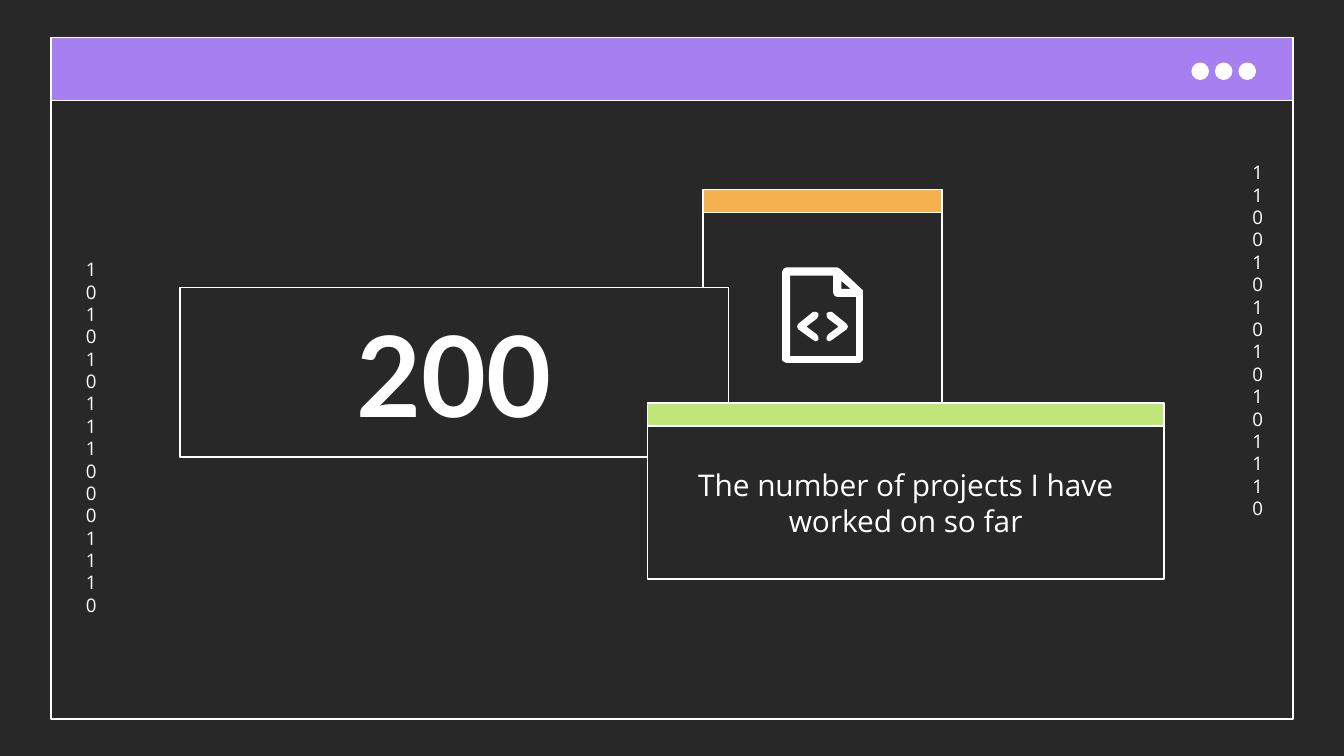
import dataclasses

import pptx
import pptx.dml.color
import pptx.enum.shapes
import pptx.enum.text
import pptx.util

Inches = pptx.util.Inches
Pt = pptx.util.Pt
Shape = pptx.enum.shapes.MSO_SHAPE


@dataclasses.dataclass(frozen=True)
class Theme:
    dark: str = "292828"
    white: str = "FFFFFF"
    purple: str = "A67FF1"
    orange: str = "F5B150"
    green: str = "C0E67A"
    heading_font: str = "Lato"
    body_font: str = "Open Sans"
    number_size: float = 60
    body_size: float = 16
    digit_size: float = 10
    line_width: float = 0.75
    line_factor: float = 1.2


THEME = Theme()
BAR_HEIGHT = 0.17

# Icon outlines in hundredths of an inch from the icon's top left corner
ICON_WIDTH = 60
SHEET = [(43, 1), (41, 0), (3, 0), (1, 1), (0, 3), (0, 69), (1, 70), (3, 71),
         (58, 71), (59, 70), (60, 69), (60, 19), (60, 17)]
SHEET_INSIDE = [(6, 66), (6, 6), (38, 6), (38, 19), (39, 21), (41, 22), (55, 22), (55, 66)]
FOLD = [(44, 10), (51, 16), (44, 16)]
RIGHT_CHEVRON = [(48, 46), (37, 54), (35, 55), (33, 54), (33, 52), (34, 50), (42, 44),
                 (34, 38), (33, 36), (33, 34), (35, 33), (37, 33), (48, 42), (49, 44)]
LEFT_CHEVRON = [(ICON_WIDTH - x, y) for x, y in RIGHT_CHEVRON]


def color(code):
    return pptx.dml.color.RGBColor.from_string(code)


def paint(shape, fill=None):
    """Give a shape its fill, or none, and the thin white outline."""
    if fill:
        shape.fill.solid()
        shape.fill.fore_color.rgb = color(fill)
    else:
        shape.fill.background()
    shape.line.color.rgb = color(THEME.white)
    shape.line.width = Pt(THEME.line_width)


def add_block(page, left, top, width, height, fill=None, kind=Shape.RECTANGLE):
    block = page.shapes.add_shape(
        kind, Inches(left), Inches(top), Inches(width), Inches(height))
    block.shadow.inherit = False
    paint(block, fill)
    return block


def write(shape, lines, size, font, bold=False, anchor=pptx.enum.text.MSO_ANCHOR.MIDDLE):
    frame = shape.text_frame
    frame.text = "\n".join(lines)
    frame.word_wrap = True
    frame.auto_size = pptx.enum.text.MSO_AUTO_SIZE.NONE
    frame.vertical_anchor = anchor
    frame.margin_left = frame.margin_right = Inches(0.1)
    frame.margin_top = frame.margin_bottom = Inches(0.1)
    for para in frame.paragraphs:
        para.alignment = pptx.enum.text.PP_ALIGN.CENTER
        para.line_spacing = Pt(size * THEME.line_factor)
        para.font.name = font
        para.font.size = Pt(size)
        para.font.bold = bold
        para.font.color.rgb = color(THEME.white)


def add_window(page, left, top, width, height):
    add_block(page, left, top, width, height)
    add_block(page, left, top, width, 0.47, THEME.purple)
    for index in range(3):
        add_block(page, left + 8.49 + index * 0.175, top + 0.19, 0.12, 0.12,
                  THEME.white, Shape.OVAL)


def add_digit_column(page, left, top, lines):
    """Stack digits in a box too narrow for more than one per line."""
    box = page.shapes.add_textbox(Inches(left), Inches(top), Inches(0.24), Inches(2.8))
    write(box, lines, THEME.digit_size, THEME.body_font,
          anchor=pptx.enum.text.MSO_ANCHOR.TOP)


def add_code_file_icon(page, left, top):
    builder = page.shapes.build_freeform(*SHEET[0], scale=Inches(0.01))
    builder.add_line_segments(SHEET[1:])
    for outline in (SHEET_INSIDE, FOLD, LEFT_CHEVRON, RIGHT_CHEVRON):
        builder.move_to(*outline[0])
        builder.add_line_segments(outline[1:])
    icon = builder.convert_to_shape(Inches(left), Inches(top))
    icon.shadow.inherit = False
    icon.fill.solid()
    icon.fill.fore_color.rgb = color(THEME.white)
    icon.line.fill.background()


def add_icon_tile(page, left, top, size):
    add_block(page, left, top, size, size, THEME.dark)
    add_block(page, left, top, size, BAR_HEIGHT, THEME.orange)
    add_code_file_icon(page, left + 0.59, top + 0.58)


def place_number(page, left, top, width, height, number):
    title = page.shapes.title
    title.left, title.top = Inches(left), Inches(top)
    title.width, title.height = Inches(width), Inches(height)
    paint(title, THEME.dark)
    write(title, [number], THEME.number_size, THEME.heading_font, bold=True)
    page.shapes.element.append(title.element)  # bring in front of the icon tile


def add_caption(page, left, top, width, height, caption):
    panel = add_block(page, left, top + BAR_HEIGHT, width, height - BAR_HEIGHT, THEME.dark)
    write(panel, [caption], THEME.body_size, THEME.body_font)
    add_block(page, left, top, width, BAR_HEIGHT, THEME.green)


def main():
    deck = pptx.Presentation()
    deck.slide_width = Inches(10)
    deck.slide_height = deck.slide_width * 9 // 16
    page = deck.slides.add_slide(deck.slide_layouts.get_by_name("Title Only"))
    page.background.fill.solid()
    page.background.fill.fore_color.rgb = color(THEME.dark)

    add_window(page, 0.38, 0.28, 9.24, 5.07)
    add_digit_column(page, 9.22, 1.1, ["1100101010101110"])
    add_digit_column(page, 0.54, 1.82, ["101010111000111", "0"])
    add_icon_tile(page, 5.23, 1.41, 1.78)
    place_number(page, 1.34, 2.14, 4.08, 1.26, "200")
    add_caption(page, 4.82, 3, 3.84, 1.31, "The number of projects I have worked on so far")
    deck.save("out.pptx")


if __name__ == "__main__":
    main()
